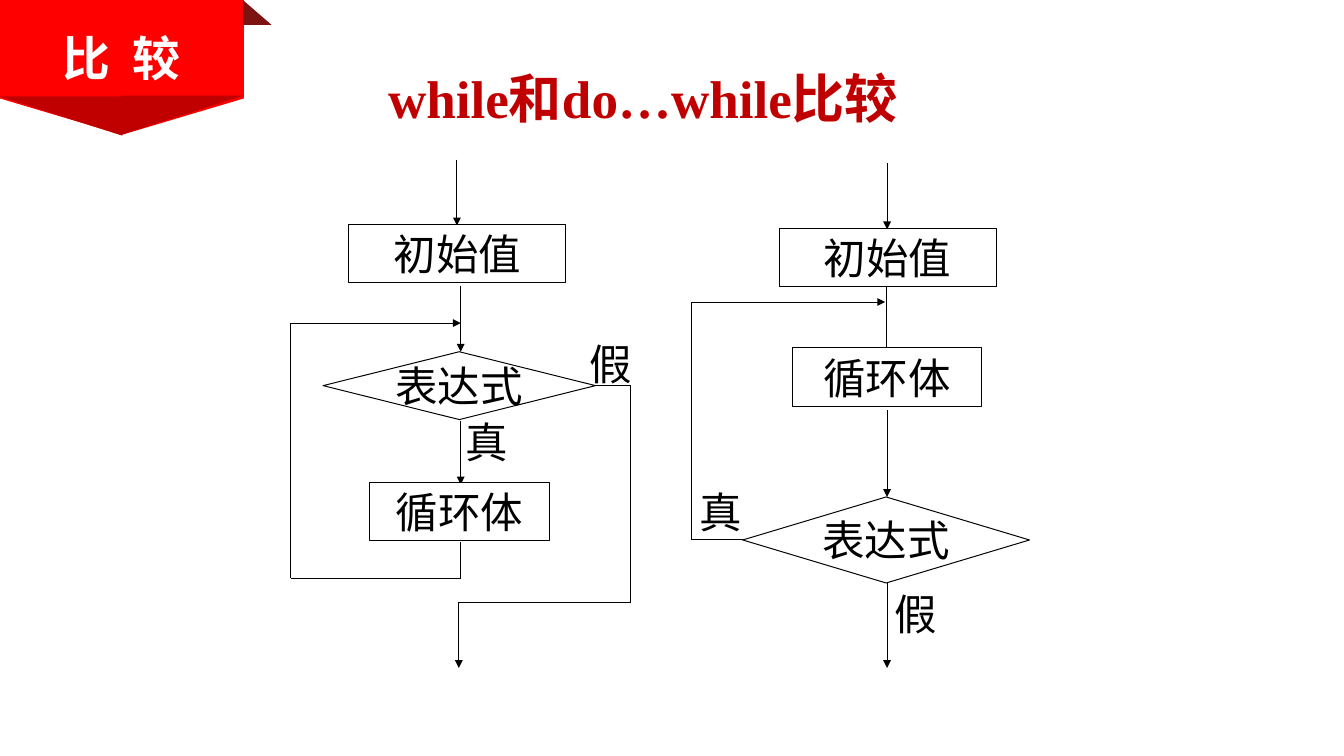
from dataclasses import dataclass
from itertools import pairwise

from lxml import etree
from pptx import Presentation
from pptx.dml.color import RGBColor
from pptx.enum.shapes import MSO_CONNECTOR, MSO_SHAPE
from pptx.enum.text import MSO_ANCHOR, MSO_AUTO_SIZE, PP_ALIGN
from pptx.oxml.ns import qn
from pptx.util import Inches, Pt

STRAIGHT = MSO_CONNECTOR.STRAIGHT
RECTANGLE = MSO_SHAPE.RECTANGLE
DECISION = MSO_SHAPE.FLOWCHART_DECISION
PENTAGON = MSO_SHAPE.PENTAGON
TRIANGLE = MSO_SHAPE.RIGHT_TRIANGLE
MIDDLE = MSO_ANCHOR.MIDDLE
NO_AUTOSIZE = MSO_AUTO_SIZE.NONE
LEFT, CENTER = PP_ALIGN.LEFT, PP_ALIGN.CENTER

FONT = "Times New Roman"
COLORS = {
    "ink": "000000",
    "paper": "FFFFFF",
    "ribbon": "FF0000",
    "fold": "C00000",
    "shade": "7D1310",
}
INITIAL, BODY, TEST, TRUE, FALSE = "初始值", "循环体", "表达式", "真", "假"


@dataclass(frozen=True)
class Box:
    left: float
    top: float
    width: float
    height: float

    def lengths(self) -> list:
        return [Inches(n) for n in (self.left, self.top, self.width, self.height)]


@dataclass(frozen=True)
class Step:
    text: str
    box: Box
    kind: int = RECTANGLE


@dataclass(frozen=True)
class Label:
    text: str
    box: Box


@dataclass(frozen=True)
class Route:
    """A line through the points, with an arrowhead at its end if wanted."""
    points: tuple
    arrow: bool = True


@dataclass(frozen=True)
class Flowchart:
    routes: tuple
    steps: tuple
    labels: tuple


@dataclass(frozen=True)
class RibbonPart:
    kind: int
    box: Box
    color: str
    flips: tuple = ()
    rotation: int = 0
    adjustment: float | None = None


RIBBON = (
    RibbonPart(PENTAGON, Box(0.57, -0.57, 1.41, 2.55), "ribbon", rotation=90, adjustment=0.269),
    RibbonPart(TRIANGLE, Box(2.54, 0, 0.3, 0.26), "shade"),
    RibbonPart(TRIANGLE, Box(0, 1.01, 1.28, 0.41), "fold", ("flipH", "flipV")),
    RibbonPart(TRIANGLE, Box(1.27, 1, 1.28, 0.41), "fold", ("flipV",)),
)

WHILE_CHART = Flowchart(
    routes=(
        Route(((4.78, 1.67), (4.78, 2.36))),
        Route(((4.82, 2.99), (4.82, 3.68))),
        Route(((4.82, 4.4), (4.82, 5.07))),
        Route(((4.82, 5.67), (4.82, 6.05), (3.04, 6.05), (3.04, 3.38), (4.82, 3.38))),
        Route(((6.17, 4.03), (6.6, 4.03), (6.6, 6.3), (4.8, 6.3), (4.8, 6.99))),
    ),
    steps=(
        Step(INITIAL, Box(3.65, 2.35, 2.27, 0.61)),
        Step(TEST, Box(3.38, 3.68, 2.85, 0.71), DECISION),
        Step(BODY, Box(3.87, 5.05, 1.88, 0.61)),
    ),
    labels=(
        Label(FALSE, Box(6.06, 3.5, 0.65, 0.61)),
        Label(TRUE, Box(4.69, 4.31, 0.8, 0.61)),
    ),
)

DO_WHILE_CHART = Flowchart(
    routes=(
        Route(((9.28, 1.71), (9.28, 2.4))),
        Route(((9.27, 3), (9.27, 3.64)), arrow=False),
        Route(((9.28, 4.29), (9.28, 5.2))),
        Route(((7.83, 5.64), (7.23, 5.64), (7.23, 3.16), (9.26, 3.16))),
        Route(((9.28, 6.1), (9.28, 6.99))),
    ),
    steps=(
        Step(INITIAL, Box(8.15, 2.39, 2.27, 0.61)),
        Step(BODY, Box(8.29, 3.64, 1.98, 0.61)),
        Step(TEST, Box(7.77, 5.2, 3, 0.9), DECISION),
    ),
    labels=(
        Label(TRUE, Box(7.12, 5.05, 0.84, 0.61)),
        Label(FALSE, Box(9.25, 6.11, 0.65, 0.61)),
    ),
)


def rgb(name: str) -> RGBColor:
    return RGBColor.from_string(COLORS[name])


def write(shape, text: str, *, size: float = 32, color: str = "ink", bold: bool = False,
          align=CENTER, wrap: bool = True, tracking: float = 0) -> None:
    frame = shape.text_frame
    frame.auto_size = NO_AUTOSIZE
    frame.word_wrap = wrap
    frame.vertical_anchor = MIDDLE
    para = frame.paragraphs[0]
    para.alignment = align
    span = para.add_run()
    span.text = text
    span.font.name, span.font.size, span.font.bold = FONT, Pt(size), bold
    span.font.color.rgb = rgb(color)
    if tracking:
        span.font._element.set("spc", str(round(tracking * 100)))


def add_filled(page, kind: int, box: Box, color: str):
    shape = page.shapes.add_shape(kind, *box.lengths())
    shape.shadow.inherit = False
    shape.fill.solid()
    shape.fill.fore_color.rgb = rgb(color)
    shape.line.fill.background()
    return shape


def add_ribbon_part(page, part: RibbonPart) -> None:
    shape = add_filled(page, part.kind, part.box, part.color)
    shape.rotation = part.rotation
    if part.adjustment is not None:
        shape.adjustments[0] = part.adjustment
    for flip in part.flips:
        shape._element.spPr.find(qn("a:xfrm")).set(flip, "1")


def add_route(page, route: Route) -> None:
    for start, end in pairwise(route.points):
        line = page.shapes.add_connector(STRAIGHT, *[Inches(n) for n in (*start, *end)])
        line.line.color.rgb = rgb("ink")
        line.line.width = Pt(0.75)
        if route.arrow and end == route.points[-1]:
            etree.SubElement(line.line._get_or_add_ln(), qn("a:tailEnd"), type="triangle")
        etree.SubElement(line._element.spPr, qn("a:effectLst"))


def add_flowchart(page, chart: Flowchart) -> None:
    for route in chart.routes:
        add_route(page, route)
    for step in chart.steps:
        shape = add_filled(page, step.kind, step.box, "paper")
        shape.line.color.rgb = rgb("ink")
        shape.line.width = Pt(0.75)
        write(shape, step.text, wrap=step.kind != DECISION)
    for label in chart.labels:
        write(page.shapes.add_textbox(*label.box.lengths()), label.text)


def main() -> None:
    deck = Presentation()
    deck.slide_width, deck.slide_height = Inches(14.06), Inches(7.91)
    page = deck.slides.add_slide(deck.slide_layouts.get_by_name("Title Only"))
    for part in RIBBON:
        add_ribbon_part(page, part)
    title = page.shapes.title
    title.left, title.top, title.width, title.height = Box(3.96, 0.63, 6, 0.77).lengths()
    write(title, "while和do…while比较", size=40, color="fold", bold=True, align=LEFT)
    for chart in (WHILE_CHART, DO_WHILE_CHART):
        add_flowchart(page, chart)
    section = page.shapes.add_textbox(*Box(0.21, 0.15, 2.12, 0.89).lengths())
    write(section, "比 较", size=36, color="paper", bold=True, tracking=4.5)
    deck.save("out.pptx")


if __name__ == "__main__":
    main()
